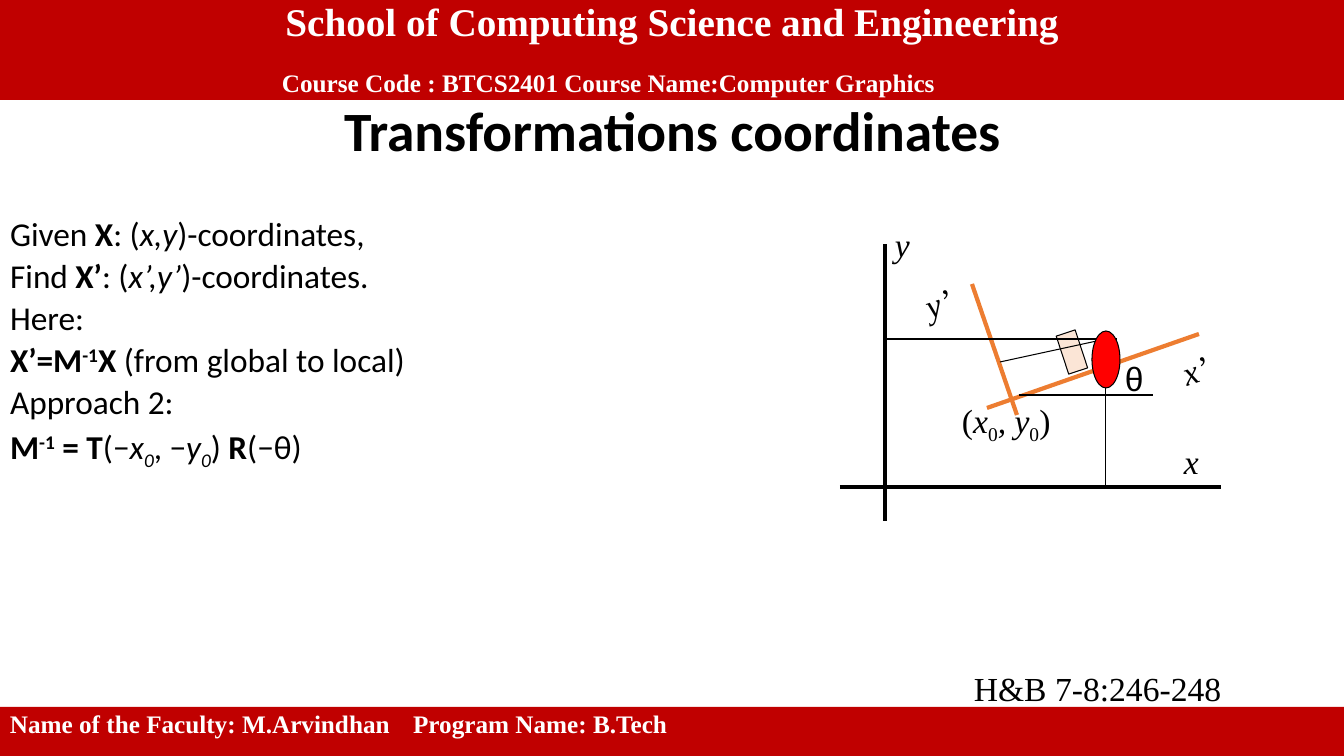
from dataclasses import dataclass

from lxml import etree
from pptx import Presentation, util as u
from pptx.dml.color import RGBColor
from pptx.enum import shapes, text
from pptx.oxml.ns import qn

PX = 12192000 / 1344
SHIFT = {"^": "30000", "_": "-25000"}


@dataclass
class Theme:
    """Colours, fonts and type sizes of the slide."""
    ink: str = "000000"
    paper: str = "FFFFFF"
    band: str = "C00000"
    axis: str = "ED7D31"
    block: str = "FBE5D6"
    dot: str = "FF0000"
    sans: str = "Calibri"
    serif: str = "Times New Roman"
    greek: str = "Arial"
    title: float = 39.6
    head: float = 28
    body: float = 23.8
    label: float = 24
    note: float = 18
    thin: float = 0.75
    thick: float = 3


def emu(val):
    """Turn px into EMU."""
    return u.Emu(round(val * PX))


class Board:
    """Draws styled elements on one slide."""

    def __init__(self, deck, theme):
        """Add the slide and keep the theme."""
        self.theme = theme
        self.slide = deck.slides.add_slide(deck.slide_layouts[1])

    def font(self, para, name, size, color=None, bold=None):
        """Set the font of a whole paragraph."""
        font = para.font
        font.name, font.size, font.bold = name, u.Pt(size), bold
        font.color.rgb = RGBColor.from_string(color or self.theme.ink)

    def fill_in(self, para, runs):
        """Add runs; marks are b bold, i italic, ^ raised, _ lowered."""
        for words, marks in runs:
            run = para.add_run()
            run.text = words
            if "b" in marks:
                run.font.bold = True
            if "i" in marks:
                run.font.italic = True
            for mark in SHIFT.keys() & set(marks):
                run.font._element.set("baseline", SHIFT[mark])

    def place(self, item, box):
        """Move a placeholder to a box."""
        item.left, item.top, item.width, item.height = map(emu, box)
        item.text_frame.auto_size = text.MSO_AUTO_SIZE.NONE
        return item.text_frame

    def title(self, words, box):
        """Fill the title placeholder."""
        frame = self.place(self.slide.shapes.title, box)
        frame.vertical_anchor = text.MSO_ANCHOR.MIDDLE
        para = frame.paragraphs[0]
        para.text = words
        para.alignment, para.line_spacing = text.PP_ALIGN.CENTER, 0.9
        self.font(para, self.theme.sans, self.theme.title, bold=True)

    def body(self, lines, box):
        """Fill the body placeholder without bullets."""
        frame = self.place(self.slide.placeholders[1], box)
        for num, runs in enumerate(lines):
            para = frame.add_paragraph() if num else frame.paragraphs[0]
            para.line_spacing, para.space_before = 0.7, u.Pt(10)
            self.font(para, self.theme.sans, self.theme.body)
            prop = para._p.get_or_add_pPr()
            prop.set("marL", "0")
            prop.set("indent", "0")
            prop.insert_element_before(
                etree.Element(qn("a:buNone")), "a:tabLst", "a:defRPr")
            self.fill_in(para, runs)

    def shape(self, kind, box, fill, turn=0, line=True):
        """Draw a filled preset shape."""
        item = self.slide.shapes.add_shape(kind, *map(emu, box))
        item.shadow.inherit = False
        item.rotation = turn
        item.fill.solid()
        item.fill.fore_color.rgb = RGBColor.from_string(fill)
        if line:
            item.line.color.rgb = RGBColor.from_string(self.theme.ink)
            item.line.width = u.Pt(self.theme.thin)
        else:
            item.line.fill.background()
        return item

    def band(self, box, anchor):
        """Draw a full-width band and return its text frame."""
        item = self.shape(shapes.MSO_SHAPE.RECTANGLE, box, self.theme.band,
                          line=False)
        item.text_frame.vertical_anchor = anchor
        return item.text_frame

    def heading(self, para, words, size, align=text.PP_ALIGN.LEFT):
        """Put one bold line on a band."""
        para.text = words
        para.alignment, para.line_spacing = align, 0.9
        self.font(para, self.theme.serif, size, self.theme.paper, True)

    def pair(self, para, left, right, start, stop):
        """Put two phrases on one line, parted by a tab stop."""
        self.heading(para, f"{left}\t{right}", self.theme.note)
        prop = para._p.get_or_add_pPr()
        prop.set("indent", str(emu(start)))
        tabs = etree.Element(qn("a:tabLst"))
        etree.SubElement(tabs, qn("a:tab"), pos=str(emu(stop)), algn="l")
        prop.insert_element_before(tabs, "a:defRPr")

    def line(self, ends, color, width):
        """Draw a straight line."""
        item = self.slide.shapes.add_connector(
            shapes.MSO_CONNECTOR.STRAIGHT, *map(emu, ends))
        item.line.color.rgb = RGBColor.from_string(color)
        item.line.width = u.Pt(width)
        etree.SubElement(item._element.spPr, qn("a:effectLst"))

    def label(self, runs, left, top, wide, turn=0, name=None):
        """Put a one-line label on the slide."""
        item = self.slide.shapes.add_textbox(*map(emu, (left, top, wide, 50)))
        item.rotation = turn
        item.text_frame.word_wrap = False
        para = item.text_frame.paragraphs[0]
        self.font(para, name or self.theme.serif, self.theme.label)
        self.fill_in(para, runs)


def main():
    """Build and save the slide."""
    theme = Theme()
    deck = Presentation()
    deck.slide_width, deck.slide_height = emu(1344), emu(756)
    board = Board(deck, theme)

    foot = board.band((0, 707, 1344, 49), text.MSO_ANCHOR.TOP)
    board.pair(foot.paragraphs[0], "Name of the Faculty: M.Arvindhan",
               "Program Name: B.Tech", 0, 706)
    board.title("Transformations coordinates", (93, 99, 1159, 69))
    board.body([
        [("Given ", ""), ("X", "b"), (": (", ""), ("x,y", "i"),
         (")-coordinates,", "")],
        [("Find ", ""), ("X’", "b"), (": (", ""), ("x’,y’", "i"),
         (")-coordinates.", "")],
        [("Here:", "")],
        [("X’=M", "b"), ("-1", "b^"), ("X ", "b"),
         ("(from global to local)", "")],
        [("Approach 2:", "")],
        [("M", "b"), ("-1", "b^"), (" = T", "b"), ("(−", ""), ("x", "i"),
         ("0", "i_"), (", −", ""), ("y", "i"), ("0", "i_"), (")", ""),
         (" R", "b"), ("(−θ)", "")],
    ], (0, 219, 1142, 263))

    board.shape(shapes.MSO_SHAPE.RECTANGLE, (1062, 332, 20, 40), theme.block,
                turn=341.8)
    for ends in ((840, 487, 1221, 487), (885, 521, 885, 244)):
        board.line(ends, theme.ink, theme.thick)
    for ends in ((987, 408, 1199, 334), (1017, 415, 972, 284)):
        board.line(ends, theme.axis, theme.thick)
    for ends in ((1019, 395, 1153, 395), (884, 339, 1117, 339),
                 (1106, 339, 1106, 489), (1000, 362, 1106, 339),
                 (1106, 339, 1117, 362)):
        board.line(ends, theme.ink, theme.thin)
    board.shape(shapes.MSO_SHAPE.OVAL, (1092, 331, 28, 57), theme.dot)

    board.label([("x", "i")], 1174, 436, 35)
    board.label([("y", "i")], 885, 219, 35)
    board.label([("x’", "i")], 1172, 344, 46, 341.1)
    board.label([("y’", "i")], 915, 277, 46, 341.1)
    board.label([("θ", "")], 1115, 353, 38, name=theme.greek)
    board.label([("(", ""), ("x", "i"), ("0", "_"), (", y", "i"), ("0", "_"),
                 (")", "")], 952, 395, 113)
    board.label([("H&B 7-8:246-248", "")], 964, 663, 270)

    head = board.band((0, 0, 1344, 100), text.MSO_ANCHOR.MIDDLE)
    board.heading(head.paragraphs[0],
                  "School of Computing Science and Engineering", theme.head,
                  text.PP_ALIGN.CENTER)
    course = head.add_paragraph()
    course.space_before = u.Pt(18.6)
    board.pair(course, "Course Code : BTCS2401",
               "Course Name:Computer Graphics", 272, 688)
    deck.save("out.pptx")


if __name__ == "__main__":
    main()
